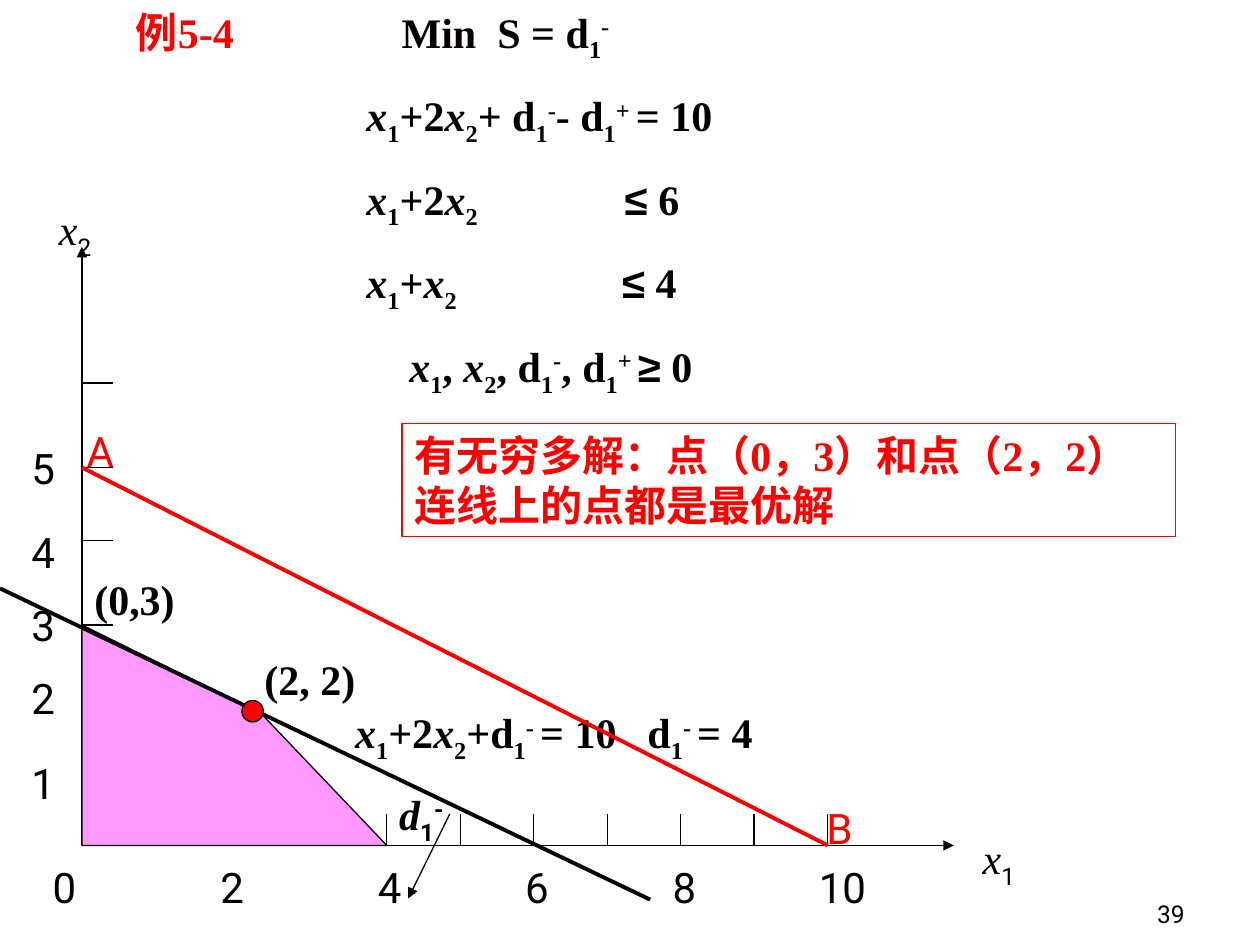
from itertools import groupby

from lxml import etree
from pptx import Presentation
from pptx.dml.color import RGBColor
from pptx.enum.shapes import MSO_CONNECTOR, MSO_SHAPE
from pptx.enum.text import MSO_ANCHOR, PP_ALIGN
from pptx.oxml.ns import qn
from pptx.util import Inches, Pt

STRAIGHT = MSO_CONNECTOR.STRAIGHT
RECTANGLE, OVAL = MSO_SHAPE.RECTANGLE, MSO_SHAPE.OVAL
TOP, BOTTOM = MSO_ANCHOR.TOP, MSO_ANCHOR.BOTTOM
LEFT, RIGHT = PP_ALIGN.LEFT, PP_ALIGN.RIGHT
SANS, SERIF, CJK, SYMBOL = "Roboto", "Times New Roman", "Noto Sans CJK SC", "Arial"
BLACK, RED, PINK = "000000", "FF0000", "FF99FF"
BASELINES = {"_": "-25000", "^": "30000"}
ORIGIN_X, ORIGIN_Y = 0.65, 6.71
TICK, STEP = 0.25, 0.583


def rgb(color):
    """Return the colour for a hex string."""
    return RGBColor.from_string(color)


def parse(text):
    """Yield (mark, is symbol, character); ~ is italic, _ subscript, ^ superscript."""
    mark = ""
    for char in text:
        if char in "~_^":
            mark = char
        else:
            yield mark, char in "≤≥", char
            mark = ""


def add_tabs(p, tabs):
    """Add left tab stops, in inches, to a paragraph."""
    tab_list = etree.SubElement(p._p.get_or_add_pPr(), qn("a:tabLst"))
    for pos in tabs:
        etree.SubElement(tab_list, qn("a:tab"), pos=str(Inches(pos)), algn="l")


def write(s, text, size=24, font=SERIF, script_font=None, color=BLACK, bold=False,
          align=LEFT, anchor=TOP, tabs=()):
    """Write marked-up lines into a shape."""
    tf = s.text_frame
    tf.word_wrap = True
    tf.vertical_anchor = anchor
    for i, line in enumerate(text.split("\n")):
        p = tf.add_paragraph() if i else tf.paragraphs[0]
        p.alignment = align
        if i:
            p.space_before = Pt(15)
        if tabs:
            add_tabs(p, tabs)
        for (mark, symbol), chars in groupby(parse(line), lambda part: part[:2]):
            r = p.add_run()
            r.text = "".join(char for _, _, char in chars)
            r.font.size = Pt(size)
            r.font.bold = bold
            r.font.italic = mark == "~"
            r.font.color.rgb = rgb(color)
            r.font.name = font
            if symbol:
                r.font.name = SYMBOL
            rpr = r._r.get_or_add_rPr()
            if mark in BASELINES:
                rpr.set("baseline", BASELINES[mark])
                r.font.name = script_font or font
            etree.SubElement(rpr, qn("a:ea"), typeface=CJK)


def add_text(slide, left, top, width, height, text, **style):
    """Add a text box and return it."""
    s = slide.shapes.add_textbox(Inches(left), Inches(top), Inches(width), Inches(height))
    write(s, text, **style)
    return s


def paint(s, fill=None, line=BLACK):
    """Set the fill and thin outline of a shape."""
    s.shadow.inherit = False
    if fill:
        s.fill.solid()
        s.fill.fore_color.rgb = rgb(fill)
    else:
        s.fill.background()
    s.line.color.rgb = rgb(line)
    s.line.width = Pt(0.75)


def add_shape(slide, kind, left, top, width, height, **style):
    """Add a painted preset shape and return it."""
    s = slide.shapes.add_shape(kind, Inches(left), Inches(top), Inches(width), Inches(height))
    paint(s, **style)
    return s


def add_line(slide, x1, y1, x2, y2, color=BLACK, width=0.75, arrow=False):
    """Add a straight line, with an optional arrowhead at its end."""
    s = slide.shapes.add_connector(STRAIGHT, Inches(x1), Inches(y1), Inches(x2), Inches(y2))
    s.line.color.rgb = rgb(color)
    s.line.width = Pt(width)
    if arrow:
        etree.SubElement(s.line._get_or_add_ln(), qn("a:tailEnd"), type="triangle")
    etree.SubElement(s._element.spPr, qn("a:effectLst"))


def add_polygon(slide, points, fill):
    """Add a closed, filled outline."""
    corners = [(Inches(x), Inches(y)) for x, y in points]
    builder = slide.shapes.build_freeform(*corners[0])
    builder.add_line_segments(corners[1:], close=True)
    paint(builder.convert_to_shape(), fill)


def add_axes(slide):
    """Draw both axes with their ticks, numbers and names."""
    add_line(slide, ORIGIN_X, ORIGIN_Y, 7.57, ORIGIN_Y, arrow=True)
    add_line(slide, ORIGIN_X, ORIGIN_Y, ORIGIN_X, 1.96, arrow=True)
    for start, count in ((1.24, 3), (3.07, 7)):
        for i in range(count):
            x = start + i * STEP
            add_line(slide, x, ORIGIN_Y, x, ORIGIN_Y - TICK)
    for y in (6.13, 5.54, 4.96, 4.29, 3.71, 3.04):
        add_line(slide, ORIGIN_X, y, ORIGIN_X + TICK, y)
    for i, x in enumerate((0.32, 1.65, 2.9, 4.07, 5.24, 6.4)):
        add_text(slide, x, 6.79, 0.6, 0.5, str(2 * i), font=SANS)
    for i, y in enumerate((5.96, 5.29, 4.71, 4.13, 3.46), 1):
        add_text(slide, 0.15, y, 0.42, 0.5, str(i), font=SANS)
    add_text(slide, 7.7, 6.56, 0.58, 0.56, "~x_1", script_font=SANS)
    add_text(slide, 0.37, 1.57, 0.67, 0.56, "~x_2", script_font=SANS)


def add_region(slide):
    """Draw the feasible region, the constraint lines and their labels."""
    add_polygon(slide, [(ORIGIN_X, 4.96), (ORIGIN_X, ORIGIN_Y), (3.07, ORIGIN_Y),
                        (2.07, 5.66)], PINK)
    add_text(slide, 2.72, 5.56, 5.35, 0.56, "~x_1+2~x_2+d_1^-^ = 10\td_1^-^ = 4",
             bold=True, tabs=[2.32])
    add_line(slide, 3.57, 6.46, 3.24, 7.13, arrow=True)
    add_text(slide, 3.07, 6.21, 0.83, 0.56, "~d_1^-", bold=True, script_font=SANS)
    add_text(slide, 0.59, 3.33, 0.67, 0.5, "A", font=SANS, color=RED)
    add_text(slide, 6.46, 6.32, 0.67, 0.5, "B", font=SANS, color=RED)
    add_text(slide, 0.65, 4.5, 0.92, 0.5, "(0,3)", bold=True)
    add_line(slide, ORIGIN_X, 3.71, 6.57, ORIGIN_Y, color=RED, width=2.25)
    add_line(slide, 0, 4.67, 5.16, 7.14, color="040404", width=2.25)
    add_text(slide, 2, 5.14, 1, 0.5, "(2, 2)", bold=True)
    add_shape(slide, OVAL, 1.92, 5.56, 0.17, 0.17, fill=RED)


def add_model(slide):
    """Write the example's goal and constraints, and the conclusion."""
    s = add_text(slide, 0.98, 0, 8.58, 3.21, "例5-4", color=RED, bold=True, tabs=[2.11])
    p = s.text_frame.paragraphs[0]
    goal = add_text(slide, 0.98, 0, 8.58, 3.21, "\tMin  S = d_1^-", bold=True, color="040000")
    for r in list(goal.text_frame.paragraphs[0].runs):
        p._p.append(r._r)
    goal._element.getparent().remove(goal._element)
    rows = (
        ("\t~x_1+2~x_2+ d_1^-- d_1^+^ = 10", [1.83]),
        ("\t~x_1+2~x_2\t≤ 6", [1.83, 3.88]),
        ("\t~x_1+~x_2\t≤ 4", [1.83, 3.86]),
        ("\t~x_1, ~x_2, d_1^-, d_1^+^ ≥ 0", [2.17]),
    )
    for text, tabs in rows:
        row = add_text(slide, 0.98, 0, 8.58, 3.21, "\n" + text, bold=True,
                       color="040000", tabs=tabs)
        s.text_frame._txBody.append(row.text_frame.paragraphs[1]._p)
        row._element.getparent().remove(row._element)
    note = add_shape(slide, RECTANGLE, 3.19, 3.36, 6.14, 0.9, line=RED)
    write(note, "有无穷多解：点（0，3）和点（2，2）连线上的点都是最优解", color=RED, bold=True)


def main():
    """Build and save the slide."""
    prs = Presentation()
    prs.slide_width, prs.slide_height = Inches(10), Inches(7.5)
    slide = prs.slides.add_slide(prs.slide_layouts[6])
    add_axes(slide)
    add_region(slide)
    add_model(slide)
    add_text(slide, 7.42, 6.92, 2.08, 0.5, "39", size=14, font=SANS, align=RIGHT, anchor=BOTTOM)
    prs.save("out.pptx")


if __name__ == "__main__":
    main()
